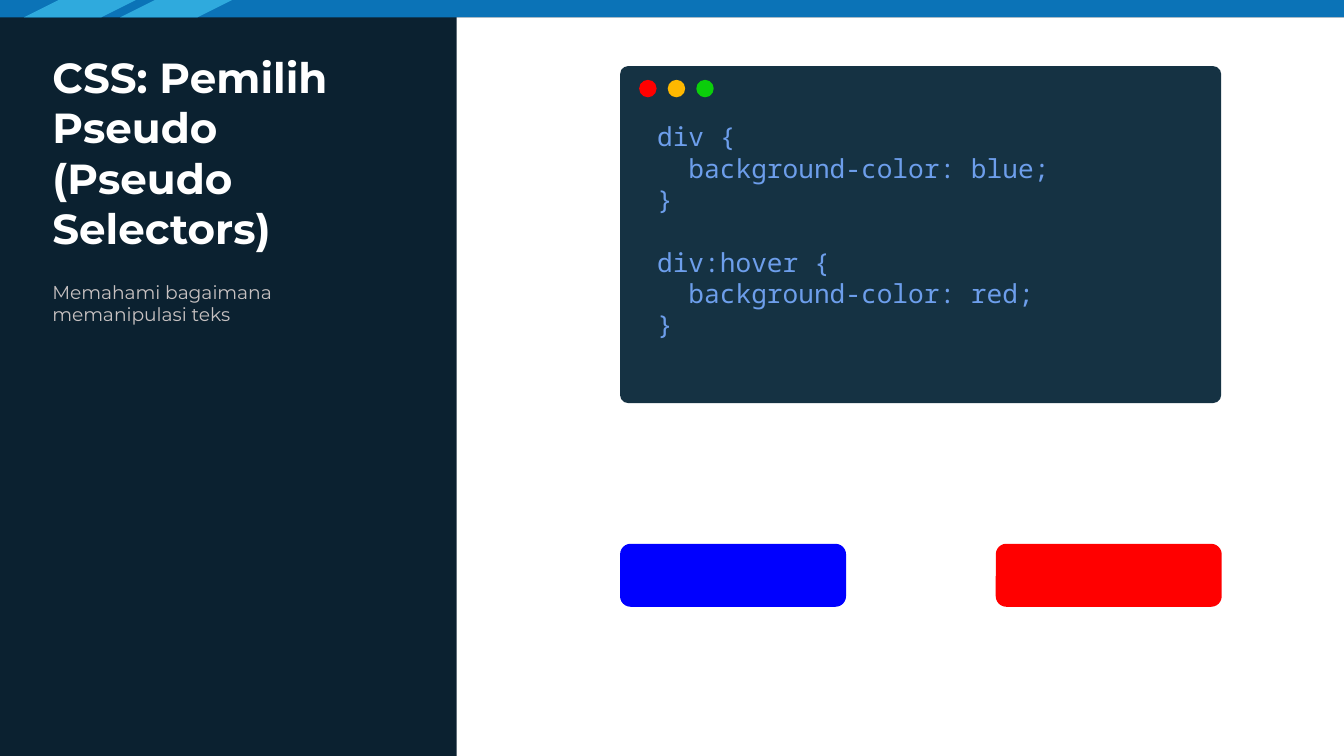
from dataclasses import dataclass

from pptx import Presentation
from pptx.dml.color import RGBColor
from pptx.enum.shapes import MSO_SHAPE
from pptx.enum.text import MSO_ANCHOR, MSO_AUTO_SIZE, PP_ALIGN
from pptx.util import Cm, Pt


@dataclass(frozen=True)
class Theme:
    navy: str = "0B2130"
    bar: str = "0B73B7"
    sky: str = "2FAADD"
    white: str = "FFFFFF"
    grey: str = "C7C1C1"
    panel: str = "153243"
    code: str = "6D9EEB"
    red: str = "FF0000"
    amber: str = "FEB800"
    green: str = "0BCE0B"
    blue: str = "0000FF"
    sans: str = "Montserrat"
    mono: str = "Noto Sans Mono"
    head: float = 22.5
    sub: float = 10
    body: float = 14


THEME = Theme()
CODE = (
    ("div {", "  background-color: blue;", "}"),
    ("div:hover {", "  background-color: red;", "}"),
)


def add_box(shapes, kind, place, color, adj=None):
    """Add a plain filled shape; place is left, top, width, height in cm."""
    box = shapes.add_shape(kind, *map(Cm, place))
    box.shadow.inherit = False
    box.fill.solid()
    box.fill.fore_color.rgb = RGBColor.from_string(color)
    box.line.fill.background()
    if adj is not None:
        box.adjustments[0] = adj
    return box


def set_text(shape, lines, font, size, color, bold=False, anchor=MSO_ANCHOR.TOP):
    """Fill a text shape with one paragraph per line."""
    frame = shape.text_frame
    frame.text = "\n".join(lines)
    margins = {f"margin_{side}": Cm(0.25) for side in ("left", "top", "right", "bottom")}
    form = {"word_wrap": True, "auto_size": MSO_AUTO_SIZE.NONE,
            "vertical_anchor": anchor, **margins}
    for name, value in form.items():
        setattr(frame, name, value)
    style = {"name": font, "size": Pt(size), "bold": bold}
    for para in frame.paragraphs:
        para.alignment = PP_ALIGN.LEFT
        for run in para.runs:
            for name, value in style.items():
                setattr(run.font, name, value)
            run.font.color.rgb = RGBColor.from_string(color)
    return frame


def add_frame(shapes):
    """Top bar with two slanted stripes, and the white content area."""
    add_box(shapes, MSO_SHAPE.RECTANGLE, (0, 0, 25.4, 0.33), THEME.bar)
    for left in (0.45, 2.27):
        add_box(shapes, MSO_SHAPE.PARALLELOGRAM, (left, 0, 2.12, 0.33), THEME.sky, 2)
    add_box(shapes, MSO_SHAPE.RECTANGLE, (8.63, 0.33, 16.77, 13.96), THEME.white)


def add_heads(shapes):
    """Title and subtitle in the dark side column."""
    title = shapes.title
    place = {"left": 0.74, "top": 1.34, "width": 7.01, "height": 3.69}
    for name, value in place.items():
        setattr(title, name, Cm(value))
    set_text(title, ["CSS: Pemilih Pseudo (Pseudo Selectors)"], THEME.sans,
             THEME.head, THEME.white, True, MSO_ANCHOR.BOTTOM)
    sub = shapes.add_textbox(Cm(0.74), Cm(5.05), Cm(7.01), Cm(3.43))
    set_text(sub, ["Memahami bagaimana memanipulasi teks"], THEME.sans,
             THEME.sub, THEME.grey)


def add_code(shapes):
    """Code window: panel, three dots and the rules."""
    group = shapes.add_group_shape().shapes
    add_box(group, MSO_SHAPE.ROUNDED_RECTANGLE, (11.72, 1.25, 11.36, 6.37),
            THEME.panel, 0.024)
    for i, color in enumerate((THEME.red, THEME.amber, THEME.green)):
        add_box(group, MSO_SHAPE.OVAL, (12.08 + i * 0.54, 1.51, 0.33, 0.33), color)
    text = group.add_textbox(Cm(12.17), Cm(2.03), Cm(10.59), Cm(4.7))
    lines = [line for rule in CODE for line in rule]
    frame = set_text(text, lines, THEME.mono, THEME.body, THEME.code)
    # One line of space between the two rules
    frame.paragraphs[len(CODE[0])].space_before = Pt(THEME.body * 1.2)


def add_demo(shapes):
    """The div in its normal and its hover colour."""
    for left, color in ((11.72, THEME.blue), (18.82, THEME.red)):
        add_box(shapes, MSO_SHAPE.ROUNDED_RECTANGLE, (left, 10.28, 4.27, 1.19),
                color, 0.167)


def main():
    deck = Presentation()
    deck.slide_width, deck.slide_height = Cm(25.4), Cm(14.29)
    slide = deck.slides.add_slide(deck.slide_layouts[5])
    back = slide.background.fill
    back.solid()
    back.fore_color.rgb = RGBColor.from_string(THEME.navy)
    for add in (add_frame, add_heads, add_code, add_demo):
        add(slide.shapes)
    deck.save("out.pptx")


if __name__ == "__main__":
    main()
